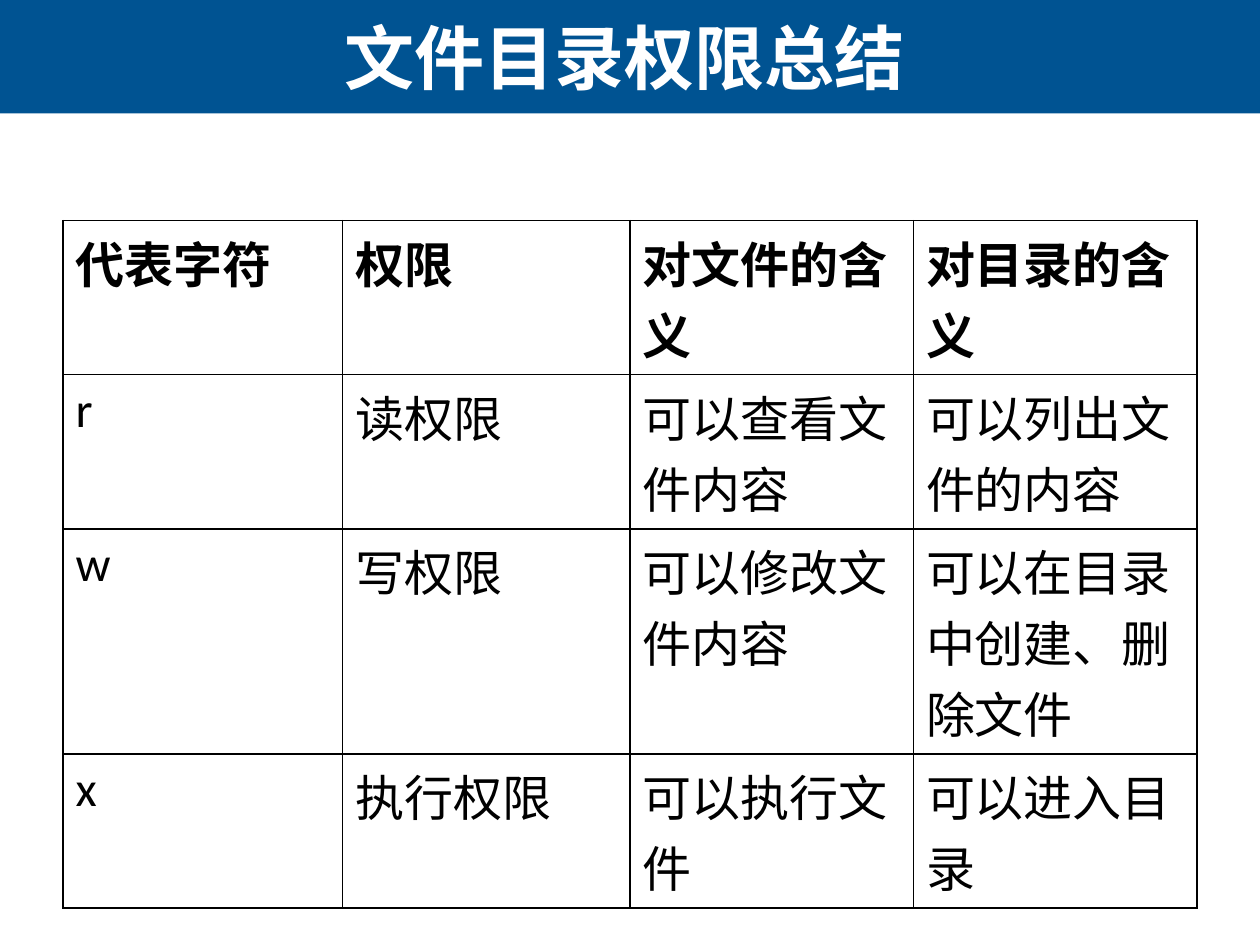
from lxml import etree
from pptx import Presentation
from pptx.dml.color import RGBColor
from pptx.enum.shapes import MSO_SHAPE
from pptx.enum.text import MSO_ANCHOR, PP_ALIGN
from pptx.oxml.ns import qn
from pptx.util import Inches, Pt

# Content
TITLE = "文件目录权限总结"
PERMISSIONS = [
    ("代表字符", "权限", "对文件的含义", "对目录的含义"),
    ("r", "读权限", "可以查看文件内容", "可以列出文件的内容"),
    ("w", "写权限", "可以修改文件内容", "可以在目录中创建、删除文件"),
    ("x", "执行权限", "可以执行文件", "可以进入目录"),
]
COLUMN_WIDTHS = (2.22, 2.28, 2.25, 2.25)
ROW_HEIGHT = 0.41  # minimum; rows grow with their text
TABLE_HEIGHT = 4.6

BLUE = RGBColor(0x00, 0x53, 0x92)
WHITE = RGBColor(0xFF, 0xFF, 0xFF)
BLACK = RGBColor(0x00, 0x00, 0x00)
RECTANGLE = MSO_SHAPE.RECTANGLE
MIDDLE = MSO_ANCHOR.MIDDLE
CENTER = PP_ALIGN.CENTER


def format_text(text_frame, size, font_name, color, bold):
    for paragraph in text_frame.paragraphs:
        for run in paragraph.runs:
            run.font.size = Pt(size)
            run.font.name = font_name
            run.font.color.rgb = color
            run.font.bold = bold


def add_borders(cell, color, width):
    properties = cell._tc.get_or_add_tcPr()
    for position, side in enumerate(("a:lnL", "a:lnR", "a:lnT", "a:lnB")):
        line = etree.Element(qn(side), w=str(Pt(width)))
        fill = etree.SubElement(line, qn("a:solidFill"))
        etree.SubElement(fill, qn("a:srgbClr"), val=str(color))
        properties.insert(position, line)


prs = Presentation()
prs.slide_width, prs.slide_height = Inches(10), Inches(7.5)
slide = prs.slides.add_slide(prs.slide_layouts[5])

# Blue band, placed behind the title
band = slide.shapes.add_shape(RECTANGLE, 0, 0, prs.slide_width, Inches(0.9))
band.shadow.inherit = False
band.fill.solid()
band.fill.fore_color.rgb = BLUE
band.line.fill.background()
slide.shapes.title._element.addprevious(band._element)

# Title
title = slide.shapes.title
title.left, title.top = Inches(0.02), 0
title.width, title.height = Inches(9.87), Inches(0.9)
title.text_frame.text = TITLE
title.text_frame.vertical_anchor = MIDDLE
title.text_frame.paragraphs[0].alignment = CENTER
format_text(title.text_frame, 40, "Arial", WHITE, True)

# Permission table
table_frame = slide.shapes.add_table(
    len(PERMISSIONS), len(COLUMN_WIDTHS), Inches(0.5), Inches(1.75),
    Inches(sum(COLUMN_WIDTHS)), Inches(TABLE_HEIGHT))
table = table_frame.table
table.horz_banding = False
for column, width in zip(table.columns, COLUMN_WIDTHS):
    column.width = Inches(width)
for row_index, texts in enumerate(PERMISSIONS):
    table.rows[row_index].height = Inches(ROW_HEIGHT)
    for column_index, text in enumerate(texts):
        cell = table.cell(row_index, column_index)
        cell.text_frame.text = text
        format_text(cell.text_frame, 28, "Calibri", BLACK, row_index == 0)
        cell.fill.solid()
        cell.fill.fore_color.rgb = WHITE
        add_borders(cell, BLACK, 1)
table_frame.height = Inches(TABLE_HEIGHT)

prs.save("out.pptx")
